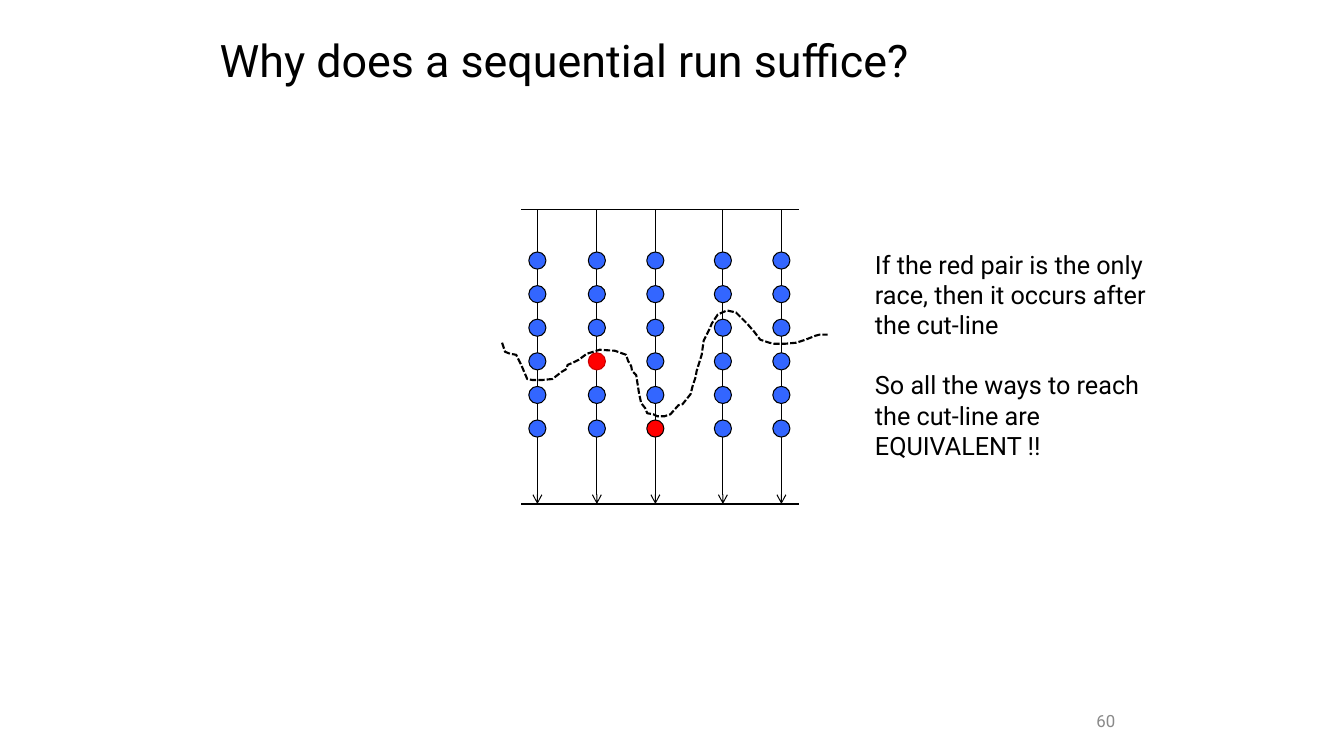
"""Build the slide that explains why a sequential run suffices."""
from dataclasses import dataclass

from lxml import etree
from pptx import Presentation
from pptx.dml.color import RGBColor
from pptx.enum.dml import MSO_LINE
from pptx.enum.shapes import MSO_CONNECTOR, MSO_SHAPE
from pptx.enum.text import MSO_ANCHOR, PP_ALIGN
from pptx.oxml.ns import qn
from pptx.util import Inches, Pt

STRAIGHT = MSO_CONNECTOR.STRAIGHT
OVAL = MSO_SHAPE.OVAL
DASH = MSO_LINE.SQUARE_DOT
TOP, MIDDLE = MSO_ANCHOR.TOP, MSO_ANCHOR.MIDDLE
LEFT, RIGHT = PP_ALIGN.LEFT, PP_ALIGN.RIGHT

FONT = "Roboto"
BLACK, GRAY, BLUE, RED, DARK_RED = "000000", "898989", "3366FF", "FF0000", "CC0000"
THIN = 0.75

RAIL_LEFT, RAIL_RIGHT = 5.17, 7.92
RAIL_TOP, RAIL_BOTTOM = 2.08, 5.0
EVENT_COUNT, EVENT_SIZE = 6, 0.17
FIRST_EVENT, EVENT_STEP = 2.5, 1 / 3

CUT_LINE = [
    (4.98, 3.4), (5.01, 3.49), (5.06, 3.51), (5.12, 3.52), (5.17, 3.62),
    (5.23, 3.76), (5.28, 3.77), (5.38, 3.77), (5.48, 3.76), (5.57, 3.69),
    (5.62, 3.66), (5.63, 3.62), (5.68, 3.6), (5.74, 3.57), (5.82, 3.51),
    (5.95, 3.47), (6.1, 3.48), (6.21, 3.52), (6.23, 3.58), (6.26, 3.63),
    (6.27, 3.68), (6.31, 3.72), (6.34, 3.91), (6.36, 4), (6.4, 4.05),
    (6.42, 4.1), (6.48, 4.11), (6.52, 4.13), (6.59, 4.13), (6.65, 4.11),
    (6.73, 4.02), (6.77, 4.01), (6.85, 3.91), (6.87, 3.83), (6.9, 3.74),
    (6.91, 3.68), (6.96, 3.52), (6.98, 3.38), (7.04, 3.26), (7.06, 3.21),
    (7.12, 3.12), (7.21, 3.08), (7.3, 3.1), (7.41, 3.21), (7.48, 3.29),
    (7.54, 3.37), (7.63, 3.4), (7.68, 3.41), (7.79, 3.41), (7.9, 3.4),
    (7.99, 3.37), (8.09, 3.33), (8.13, 3.32), (8.21, 3.32),
]


@dataclass(frozen=True)
class Thread:
    x: float
    red_event: int | None = None
    red_outline: str = BLACK


@dataclass(frozen=True)
class Label:
    bounds: tuple[float, float, float, float]
    paragraphs: list[list[str]]
    size: float
    color: str = BLACK
    anchor: int = TOP
    align: int = LEFT
    line_spacing: float = 1.0
    gap: float = 0


THREADS = [
    Thread(5.33),
    Thread(5.92, 3, DARK_RED),
    Thread(6.5, 5),
    Thread(7.17),
    Thread(7.75),
]

LABELS = [
    Label((8.83, 6.95, 2.33, 0.4), [["60"]], 12, GRAY, MIDDLE, RIGHT),
    Label((2.08, 0, 9.5, 1.25), [["Why does a sequential run suffice?"]], 32,
          anchor=MIDDLE, line_spacing=0.9),
    Label((8.58, 2.42, 3.06, 2.22), [
        ["If the red pair is the only", "race, then it occurs after", "the cut-line"],
        ["So all the ways to reach", "the cut-line are", "EQUIVALENT !!"],
    ], 18, gap=21.5),
]


def rgb(color: str) -> RGBColor:
    return RGBColor.from_string(color)


def apply_format(target, values: dict) -> None:
    for name, value in values.items():
        setattr(target, name, value)


def set_line(shape, color: str, width: float) -> None:
    shape.line.color.rgb = rgb(color)
    shape.line.width = Pt(width)


def add_line(shapes, start: tuple[float, float], end: tuple[float, float],
             arrow: bool = False) -> None:
    ends = [Inches(value) for value in (*start, *end)]
    connector = shapes.add_connector(STRAIGHT, *ends)
    set_line(connector, BLACK, THIN)
    properties = connector.element.spPr
    if arrow:
        etree.SubElement(properties.find(qn("a:ln")), qn("a:tailEnd"), type="arrow")
    etree.SubElement(properties, qn("a:effectLst"))


def add_event(shapes, center: float, top: float, fill: str, outline: str) -> None:
    bounds = (center - EVENT_SIZE / 2, top, EVENT_SIZE, EVENT_SIZE)
    event = shapes.add_shape(OVAL, *map(Inches, bounds))
    event.shadow.inherit = False
    event.fill.solid()
    event.fill.fore_color.rgb = rgb(fill)
    set_line(event, outline, THIN)


def add_thread(page, thread: Thread) -> None:
    shapes = page.shapes.add_group_shape().shapes
    add_line(shapes, (thread.x, RAIL_TOP), (thread.x, RAIL_BOTTOM), arrow=True)
    for index in range(EVENT_COUNT):
        red = index == thread.red_event
        add_event(shapes, thread.x, FIRST_EVENT + index * EVENT_STEP,
                  RED if red else BLUE, thread.red_outline if red else BLACK)


def add_cut_line(page) -> None:
    points = [(Inches(x), Inches(y)) for x, y in CUT_LINE]
    builder = page.shapes.build_freeform(*points[0])
    builder.add_line_segments(points[1:], close=False)
    cut = builder.convert_to_shape()
    cut.shadow.inherit = False
    cut.fill.background()
    set_line(cut, BLACK, 1.5)
    cut.line.dash_style = DASH


def add_label(page, label: Label) -> None:
    box = page.shapes.add_textbox(*map(Inches, label.bounds))
    frame = box.text_frame
    apply_format(frame, {"word_wrap": True, "vertical_anchor": label.anchor})
    lines = [(text, block > 0 and row == 0)
             for block, texts in enumerate(label.paragraphs)
             for row, text in enumerate(texts)]
    for index, (text, spaced) in enumerate(lines):
        para = frame.add_paragraph() if index else frame.paragraphs[0]
        apply_format(para, {
            "alignment": label.align,
            "line_spacing": label.line_spacing,
            "space_before": Pt(label.gap if spaced else 0),
        })
        span = para.add_run()
        span.text = text
        apply_format(span.font, {"name": FONT, "size": Pt(label.size)})
        span.font.color.rgb = rgb(label.color)


def main() -> None:
    deck = Presentation()
    apply_format(deck, {"slide_width": Inches(13.33), "slide_height": Inches(7.5)})
    page = deck.slides.add_slide(deck.slide_layouts[6])
    for y in (RAIL_TOP, RAIL_BOTTOM):
        add_line(page.shapes, (RAIL_LEFT, y), (RAIL_RIGHT, y))
    for thread in THREADS:
        add_thread(page, thread)
    add_cut_line(page)
    for label in LABELS:
        add_label(page, label)
    deck.save("out.pptx")


if __name__ == "__main__":
    main()
